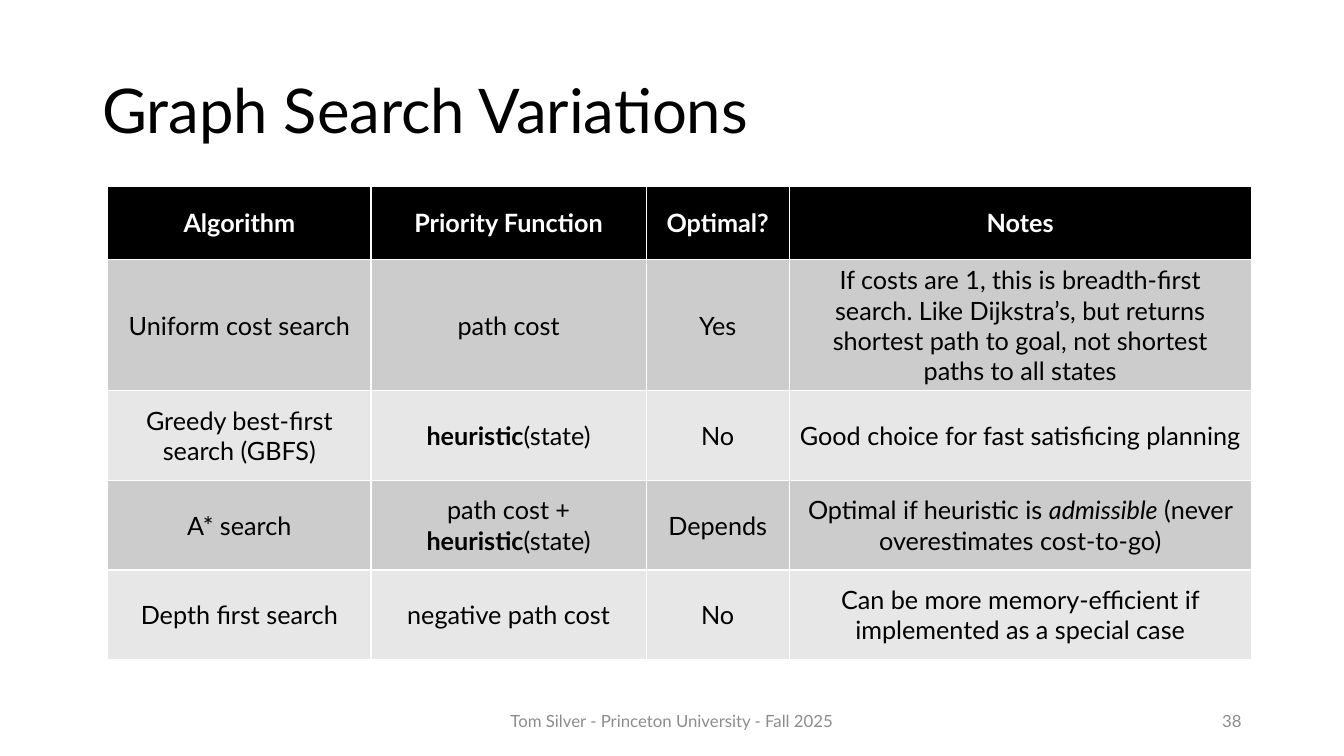
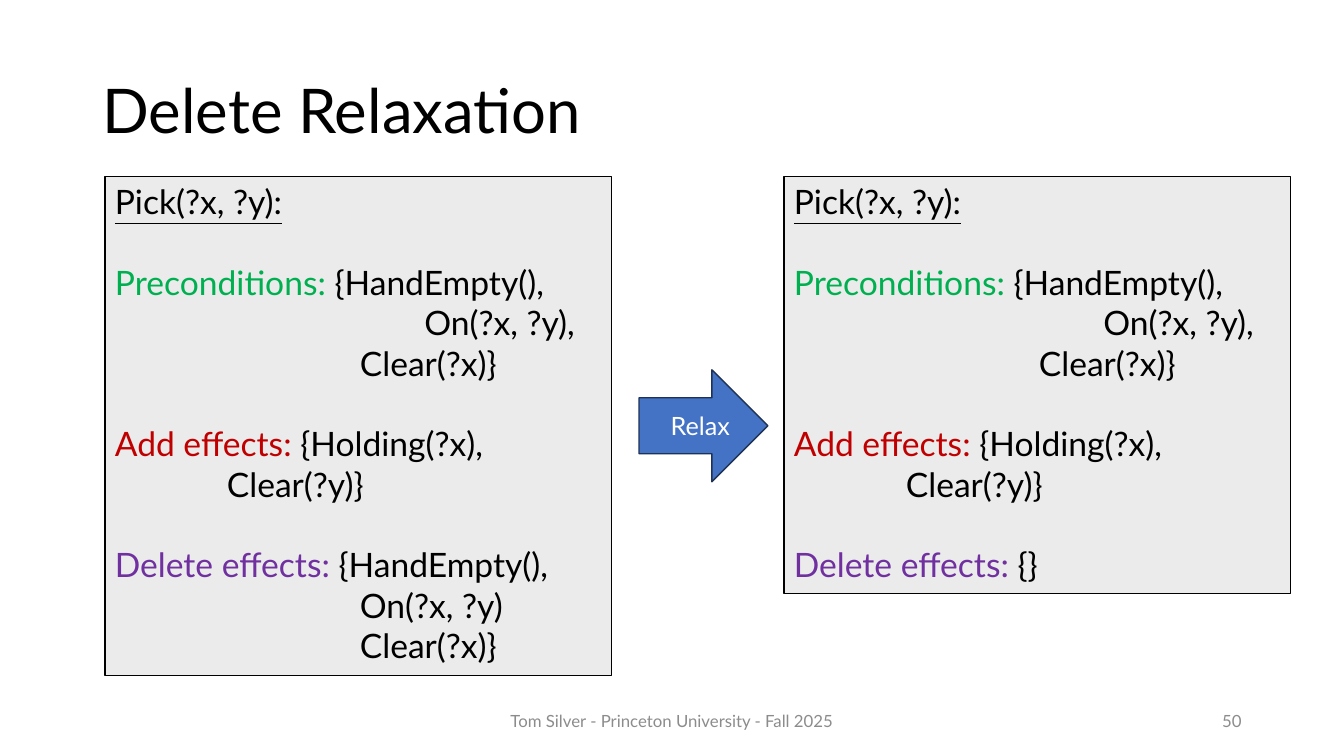
from dataclasses import dataclass

from lxml.etree import SubElement
from pptx import Presentation
from pptx.dml.color import RGBColor
from pptx.enum.shapes import MSO_SHAPE
from pptx.enum.text import MSO_ANCHOR, PP_ALIGN
from pptx.oxml.ns import qn
from pptx.util import Pt


@dataclass(frozen=True)
class Theme:
    """Colours, font and type sizes shared by all slides."""
    font: str = "Lato"
    ink: str = "000000"
    paper: str = "FFFFFF"
    muted: str = "8C8C8C"
    band_dark: str = "CCCCCC"
    band_light: str = "E7E7E7"
    card: str = "D9D9D9"
    card_opacity: int = 52
    arrow: str = "4472C4"
    arrow_line: str = "1E3256"
    green: str = "00B050"
    red: str = "C00000"
    purple: str = "7030A0"
    title_size: float = 44
    card_size: float = 24
    body_size: float = 18
    footer_size: float = 12


@dataclass(frozen=True)
class Span:
    """A stretch of text with its own look."""
    text: str
    color: str = Theme.ink
    bold: bool = False
    italic: bool = False
    underline: bool = False


@dataclass(frozen=True)
class Line:
    """A paragraph of spans with a left indent and a gap above."""
    spans: tuple
    indent: float = 0
    gap: float = 0


class Deck:
    """Holds the theme and the current slide and draws each kind of element."""

    def __init__(self, theme):
        """Start an empty widescreen deck."""
        self.theme = theme
        self.deck = Presentation()
        self.deck.slide_width, self.deck.slide_height = Pt(960), Pt(540)
        self.page = None

    def add_page(self, title, number):
        """Add a slide with its title and footer."""
        theme = self.theme
        self.page = self.deck.slides.add_slide(self.deck.slide_layouts[6])
        heading = self.label(title, (66, 28.8, 828, 104.4), theme.title_size, theme.ink)
        heading.line_spacing = 0.9
        self.label("Tom Silver - Princeton University - Fall 2025", (318, 500.4, 324, 28.8),
                   theme.footer_size, theme.muted, PP_ALIGN.CENTER)
        self.label(str(number), (678, 500.4, 216, 28.8),
                   theme.footer_size, theme.muted, PP_ALIGN.RIGHT)

    def style(self, run, size, span):
        """Give a run its font, size and look."""
        font = run.font
        font.name, font.size = self.theme.font, Pt(size)
        font.bold, font.italic, font.underline = span.bold, span.italic, span.underline
        font.color.rgb = RGBColor.from_string(span.color)

    def add_spans(self, para, spans, size, align=PP_ALIGN.LEFT):
        """Fill a paragraph with styled spans."""
        para.alignment = align
        for span in spans:
            run = para.add_run()
            run.text = span.text
            self.style(run, size, span)

    def label(self, text, frame, size, color, align=PP_ALIGN.LEFT):
        """Add a one-line text box and return its paragraph."""
        box = self.page.shapes.add_textbox(*map(Pt, frame))
        box.text_frame.word_wrap = True
        box.text_frame.vertical_anchor = MSO_ANCHOR.MIDDLE
        para = box.text_frame.paragraphs[0]
        self.add_spans(para, [Span(text, color)], size, align)
        return para

    def shape(self, kind, frame, fill, line, line_width):
        """Add a flat filled and outlined shape."""
        box = self.page.shapes.add_shape(kind, *map(Pt, frame))
        box.shadow.inherit = False
        box.fill.solid()
        box.fill.fore_color.rgb = RGBColor.from_string(fill)
        box.line.color.rgb = RGBColor.from_string(line)
        box.line.width = Pt(line_width)
        box.text_frame.word_wrap = True
        return box

    def card(self, frame, lines):
        """Add a translucent card with indented lines."""
        theme = self.theme
        box = self.shape(MSO_SHAPE.RECTANGLE, frame, theme.card, theme.ink, 0.75)
        color = box._element.spPr.find(qn("a:solidFill"))[0]
        SubElement(color, qn("a:alpha")).set("val", str(theme.card_opacity * 1000))
        text_frame = box.text_frame
        text_frame.vertical_anchor = MSO_ANCHOR.TOP
        for index, line in enumerate(lines):
            para = text_frame.add_paragraph() if index else text_frame.paragraphs[0]
            para.space_before = Pt(line.gap)
            para._p.get_or_add_pPr().set("marL", str(Pt(line.indent)))
            self.add_spans(para, line.spans, theme.card_size)

    def arrow(self, text, frame):
        """Add a block arrow with a right-aligned label."""
        theme = self.theme
        box = self.shape(MSO_SHAPE.RIGHT_ARROW, frame, theme.arrow, theme.arrow_line, 1)
        box.text_frame.vertical_anchor = MSO_ANCHOR.MIDDLE
        self.add_spans(box.text_frame.paragraphs[0], [Span(text, theme.paper)],
                       theme.body_size, PP_ALIGN.RIGHT)

    def table(self, left, top, widths, heights, rows):
        """Add a centred table with a dark header and banded rows."""
        theme = self.theme
        frame = (left, top, sum(widths), sum(heights))
        table = self.page.shapes.add_table(len(rows), len(widths), *map(Pt, frame)).table
        for column, width in zip(table.columns, widths):
            column.width = Pt(width)
        for index, (row, height, contents) in enumerate(zip(table.rows, heights, rows)):
            row.height = Pt(height)
            band = theme.band_dark if index % 2 else theme.band_light
            for cell, content in zip(row.cells, contents):
                cell.fill.solid()
                cell.fill.fore_color.rgb = RGBColor.from_string(band if index else theme.ink)
                cell.vertical_anchor = MSO_ANCHOR.MIDDLE
                if isinstance(content, str):
                    color = theme.ink if index else theme.paper
                    content = [Span(content, color, bold=index == 0)]
                self.add_spans(cell.text_frame.paragraphs[0], content,
                               theme.body_size, PP_ALIGN.CENTER)


def build_search_page(deck):
    """Draw the table of graph search variations."""
    heuristic = [Span("heuristic", bold=True), Span("(state)")]
    admissible = [Span("Optimal if heuristic is "), Span("admissible", italic=True),
                  Span(" (never overestimates cost-to-go)")]
    rows = [
        ["Algorithm", "Priority Function", "Optimal?", "Notes"],
        ["Uniform cost search", "path cost", "Yes",
         "If costs are 1, this is breadth-first search. Like Dijkstra’s, but returns "
         "shortest path to goal, not shortest paths to all states"],
        ["Greedy best-first search (GBFS)", heuristic, "No",
         "Good choice for fast satisficing planning"],
        ["A* search", [Span("path cost + ")] + heuristic, "Depends", admissible],
        ["Depth first search", "negative path cost", "No",
         "Can be more memory-efficient if implemented as a special case"],
    ]
    deck.add_page("Graph Search Variations", 38)
    deck.table(77, 133.2, [188, 196.6, 102.2, 330], [52.4, 77, 64, 64, 64], rows)


def build_relaxation_page(deck):
    """Draw an operator before and after delete relaxation."""
    theme = deck.theme
    gap, near, middle, far = 28.8, 80, 175, 221

    def section(name, color, first):
        """Return the opening line of a section."""
        return Line((Span(name, color), Span(first)), gap=gap)

    shared = [
        Line((Span("Pick(?x, ?y):", underline=True),)),
        section("Preconditions: ", theme.green, "{HandEmpty(),"),
        Line((Span("On(?x, ?y),"),), far),
        Line((Span("Clear(?x)}"),), middle),
        section("Add effects: ", theme.red, "{Holding(?x),"),
        Line((Span("Clear(?y)}"),), near),
    ]
    deletes = [
        section("Delete effects: ", theme.purple, "{HandEmpty(),"),
        Line((Span("On(?x, ?y)"),), middle),
        Line((Span("Clear(?x)}"),), middle),
    ]
    relaxed = [section("Delete effects: ", theme.purple, "{}")]
    deck.add_page("Delete Relaxation", 50)
    deck.card((75, 126, 362, 356.4), shared + deletes)
    deck.arrow("Relax", (456.5, 264.2, 92, 80))
    deck.card((560, 126, 362, 298), shared + relaxed)


def main():
    """Build and save the deck."""
    deck = Deck(Theme())
    build_search_page(deck)
    build_relaxation_page(deck)
    deck.deck.save("out.pptx")


if __name__ == "__main__":
    main()
